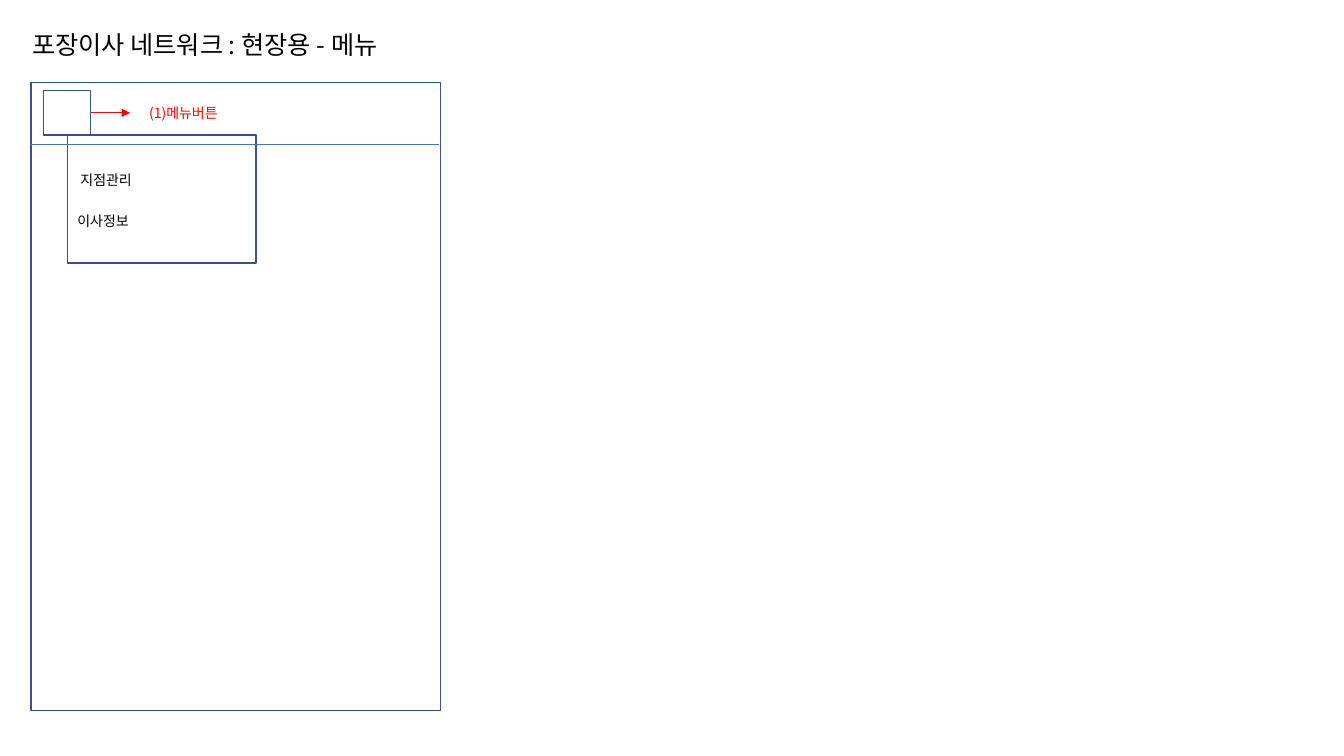
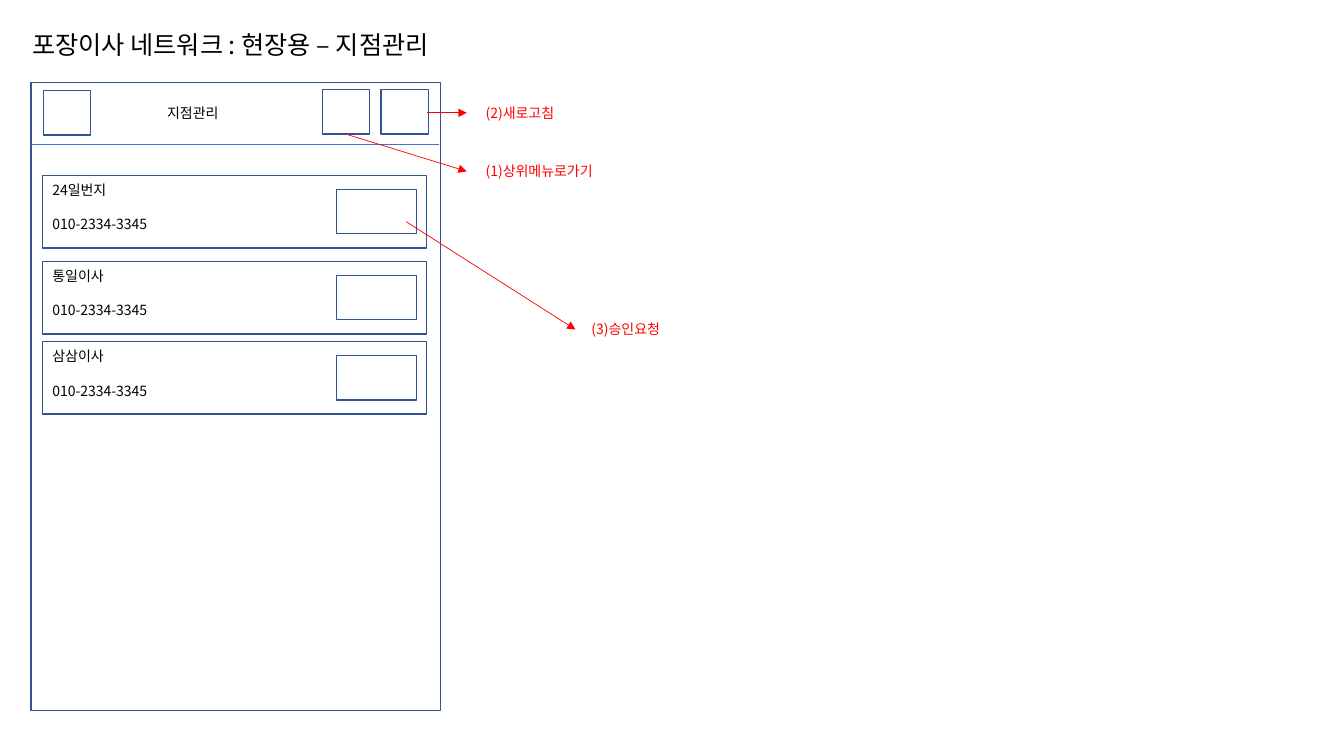
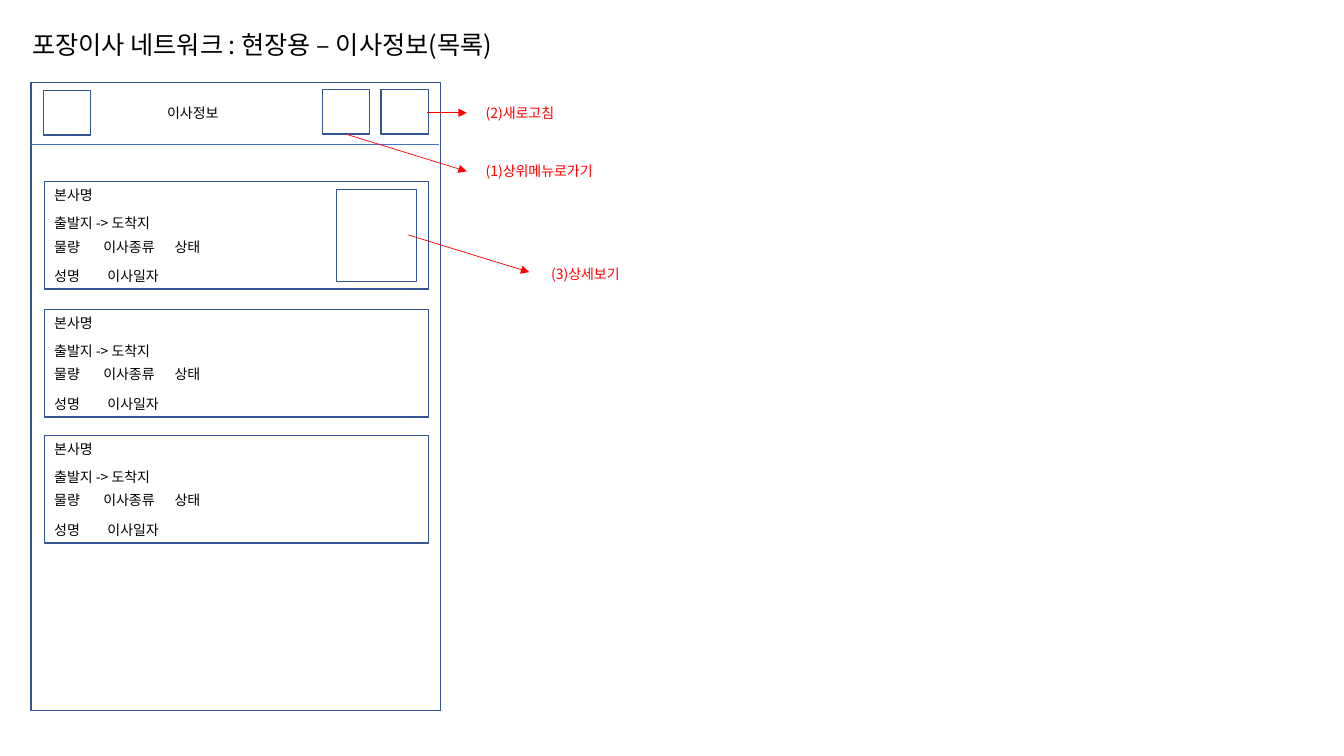
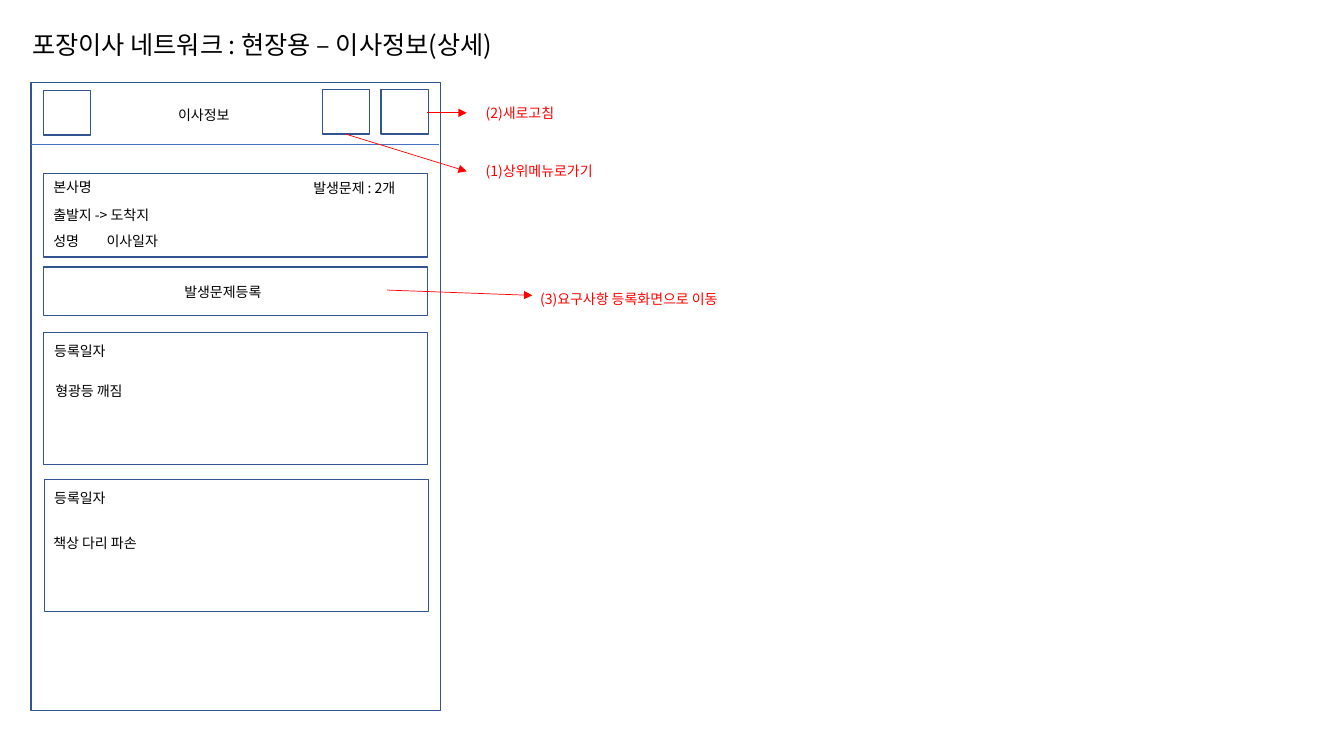
import dataclasses
import pptx
import pptx.util
import pptx.dml.color
import pptx.enum.shapes
import pptx.enum.text
import pptx.oxml.ns
import lxml.etree


@dataclasses.dataclass(frozen=True)
class Theme:
    font: str = "Noto Sans CJK KR"
    ink: str = "000000"
    note: str = "FF0000"
    edge: str = "325491"
    rule: str = "4472C4"
    head: float = 18
    body: float = 10
    lead: float = 1.22
    thick: float = 1
    thin: float = 0.5


theme = Theme()
Pt = pptx.util.Pt
qn = pptx.oxml.ns.qn
rgb = pptx.dml.color.RGBColor.from_string


def write(words, slide, x, y, width, size=theme.body, color=theme.ink, gap=0, tabs=(), holder=None):
    high = size * theme.lead
    spot = [Pt(v) for v in (x, y, width, high * len(words.split("\n")) + gap + 7.2)]
    box = holder or slide.shapes.add_textbox(*spot)
    box.left, box.top, box.width, box.height = spot
    frame = box.text_frame
    frame.word_wrap = True
    frame.auto_size = pptx.enum.text.MSO_AUTO_SIZE.SHAPE_TO_FIT_TEXT
    frame.vertical_anchor = pptx.enum.text.MSO_ANCHOR.TOP
    frame.text = words
    for i, para in enumerate(frame.paragraphs):
        para.alignment = pptx.enum.text.PP_ALIGN.LEFT
        para.line_spacing = Pt(high)
        para.space_before = Pt(gap if i else 0)
        if tabs:
            stops = lxml.etree.SubElement(para._p.get_or_add_pPr(), qn("a:tabLst"))
            for tab in tabs:
                lxml.etree.SubElement(stops, qn("a:tab"), pos=str(Pt(tab)), algn="l")
        for run in para.runs:
            run.font.name = theme.font
            run.font.size = Pt(size)
            run.font.color.rgb = rgb(color)
            lxml.etree.SubElement(run._r.get_or_add_rPr(), qn("a:ea"), typeface=theme.font)


card_x, card_w = 31, 274.3
back = (22.3, 103, 313.9, 103)
bar = [(230.4, 64.1, 33.8, 31.7), (272.2, 64.1, 33.8, 31.7)]
bar_arrows = [(305.3, 80.6, 333.4, 80.6), (247, 95.8, 333.4, 122.4)]
bar_notes = [(339.8, 71.3, 66.2, "(2)새로고침"), (339.8, 112.3, 96.5, "(1)상위메뉴로가기")]

menu = dict(
    title="현장용 - 메뉴", width=301,
    boxes=[(48.2, 96.5, 134.6, 91.4)],
    arrows=[(64.8, 80.6, 92.9, 80.6)],
    notes=[(99.4, 71.3, 66.2, "(1)메뉴버튼")],
    labels=[(50.4, 118.8, 54.7, "지점관리"), (48.2, 148.3, 54.7, "이사정보")])

branch = dict(
    title="현장용 – 지점관리", width=332.6,
    boxes=bar[:],
    arrows=bar_arrows + [(290.2, 158.4, 411.1, 235.4)],
    notes=bar_notes + [(415.4, 225.4, 66.2, "(3)승인요청")],
    labels=[(112.3, 70.6, 54.7, "지점관리")])
for top, name in zip((125.3, 186.7, 244.1), ("24일번지", "통일이사", "삼삼이사")):
    branch["boxes"] += [(30.3, top, card_w, 51.8), (240.5, top + 10, 56.9, 31.7)]
    branch["labels"].append((30.3, top + 0.7, 87.8, name + "\n010-2334-3345"))

moves = dict(
    title="현장용 – 이사정보(목록)", width=380.2,
    boxes=bar + [(240.5, 135.4, 56.9, 65.5)],
    arrows=bar_arrows + [(291.6, 167.8, 378, 194.4)],
    notes=bar_notes + [(386.6, 185.8, 66.2, "(3)상세보기")],
    labels=[(112.3, 70.6, 54.7, "이사정보")])
for top in (129.6, 221, 311):
    moves["boxes"].append((31.7, top, card_w, 77))
    moves["labels"] += [
        (31.7, top, 115.2, "본사명"),
        (31.7, top + 20.2, 93.6, "출발지 -> 도착지"),
        (31.7, top + 36.7, 133.9, "물량\t이사종류\t상태", (35, 86)),
        (31.7, top + 57.6, 100, "성명\t이사일자", (38,))]

detail = dict(
    title="현장용 – 이사정보(상세)", width=380.2,
    boxes=bar + [
        (card_x, 123.8, card_w, 59.8), (card_x, 190.8, card_w, 34.6),
        (card_x, 237.6, card_w, 94.3), (31.7, 342.7, card_w, 94.3)],
    arrows=bar_arrows + [(276.5, 207.2, 380.2, 211)],
    notes=bar_notes + [(378.7, 203.8, 157.7, "(3)요구사항 등록화면으로 이동")],
    labels=[
        (120.2, 72, 54.7, "이사정보"),
        (card_x, 123.8, 115.2, "본사명"),
        (card_x, 144, 93.6, "출발지 -> 도착지"),
        (card_x, 162.7, 100, "성명\t이사일자", (38,)),
        (216.7, 124.6, 80, "발생문제 : 2개"),
        (124.6, 198.7, 74.9, "발생문제등록"),
        (31.7, 241.2, 54.7, "등록일자"), (32.4, 269.3, 68.4, "형광등 깨짐"),
        (31.7, 345.6, 54.7, "등록일자"), (card_x, 378, 82, "책상 다리 파손")])

deck = pptx.Presentation()
deck.slide_width, deck.slide_height = Pt(960), Pt(540)

for page in (menu, branch, moves, detail):
    slide = deck.slides.add_slide(deck.slide_layouts[5])
    write("포장이사 네트워크 : " + page["title"], slide, 15.8, 16.6, page["width"],
          size=theme.head, holder=slide.shapes.title)
    for rect in [(22.3, 59, 292.3, 448.6), (card_x, 64.8, 33.8, 31.7)] + page["boxes"]:
        box = slide.shapes.add_shape(pptx.enum.shapes.MSO_SHAPE.RECTANGLE, *[Pt(v) for v in rect])
        box.shadow.inherit = False
        box.fill.background()
        box.line.color.rgb = rgb(theme.edge)
        box.line.width = Pt(theme.thick)
    for ends in [back] + page["arrows"]:
        line = slide.shapes.add_connector(
            pptx.enum.shapes.MSO_CONNECTOR.STRAIGHT, *[Pt(v) for v in ends])
        line.line.color.rgb = rgb(theme.rule if ends is back else theme.note)
        line.line.width = Pt(theme.thin)
        props = line._element.spPr
        if ends is not back:
            lxml.etree.SubElement(props.find(qn("a:ln")), qn("a:tailEnd"), type="triangle")
        lxml.etree.SubElement(props, qn("a:effectLst"))
    for x, y, width, words in page["notes"]:
        write(words, slide, x, y, width, color=theme.note)
    for x, y, width, words, *tabs in page["labels"]:
        write(words, slide, x, y, width, gap=theme.body * theme.lead, tabs=tabs[0] if tabs else ())

deck.save("out.pptx")
